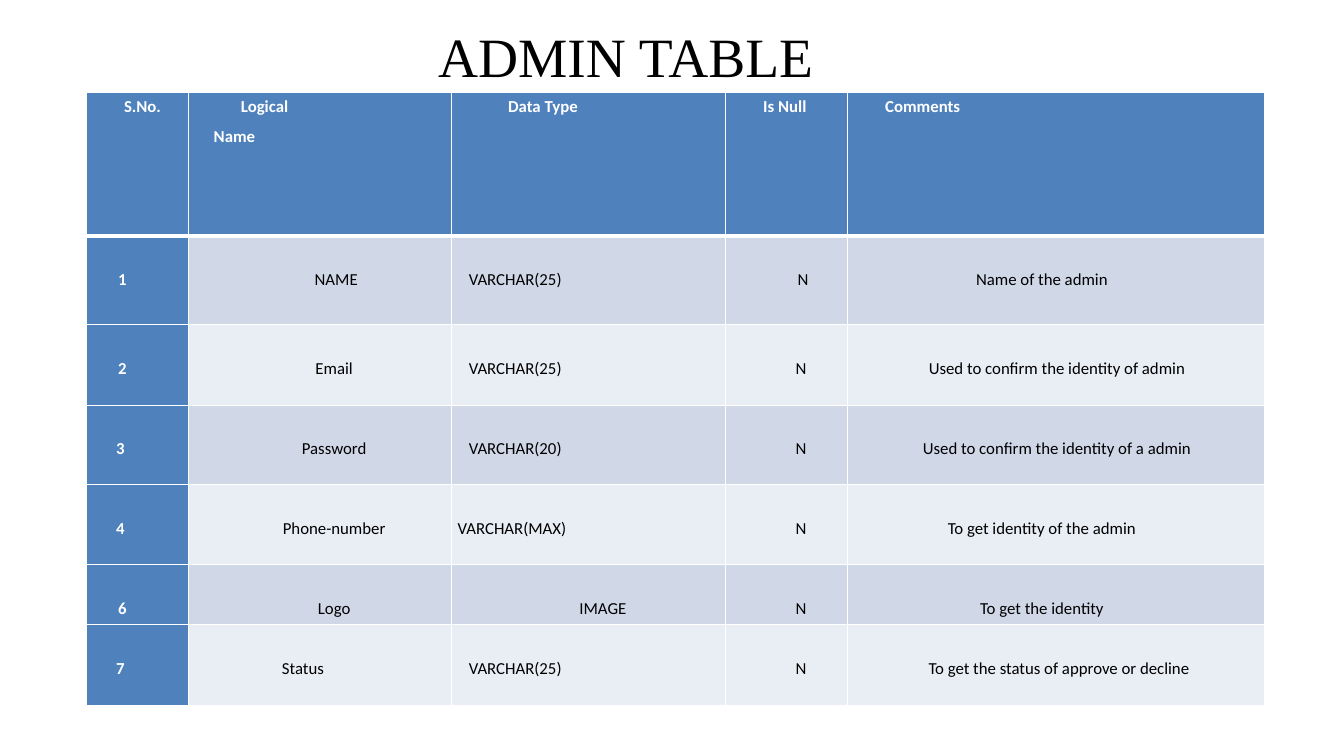
from dataclasses import dataclass

import pptx
import pptx.dml.color
import pptx.enum.text
import pptx.oxml
import pptx.oxml.ns
import pptx.table
import pptx.text.text
import pptx.util
from pptx.util import Inches

COLORS = {
    "header": "4F81BD",
    "odd_row": "D0D8E8",
    "even_row": "E9EDF4",
    "white": "FFFFFF",
    "black": "000000",
}
ALIGN = pptx.enum.text.PP_ALIGN
COLUMN_WIDTHS = [1.01, 2.61, 2.72, 1.21, 4.13]
ROW_HEIGHTS = [1.42, 0.88, 0.8, 0.79, 0.79, 0.6, 0.8]


@dataclass
class Entry:
    text: str
    indent: float = 0
    shift: float | None = None


def left(text: str, indent: float) -> list[Entry]:
    return [Entry(text, indent=indent)]


def centered(text: str, shift: float) -> list[Entry]:
    return [Entry(text, shift=shift)]


def record(number: str, name: list[Entry], kind: list[Entry],
           comment: list[Entry], number_shift: float = -0.15,
           null_shift: float = 0.14) -> list[list[Entry]]:
    return [centered(number, number_shift), name, kind,
            centered("N", null_shift), comment]


ROWS = [
    [left("S.No.", 0.37),
     left("Logical", 0.52) + left("Name", 0.25),
     left("Data Type", 0.56),
     left("Is Null", 0.37),
     left("Comments", 0.37)],
    record("1", centered("NAME", 0.16), left("VARCHAR(25)", 0.17),
           centered("Name of the admin", -0.14), null_shift=0.16),
    record("2", centered("Email", 0.14), left("VARCHAR(25)", 0.17),
           centered("Used to confirm the identity of admin", 0.01)),
    record("3", centered("Password", 0.14), left("VARCHAR(20)", 0.17),
           centered("Used to confirm the identity of a admin", 0.01), -0.17),
    record("4", centered("Phone-number", 0.14), left("VARCHAR(MAX)", 0.06),
           centered("To get identity of the admin", -0.14), -0.17),
    record("6", centered("Logo", 0.14), centered("IMAGE", 0.14),
           centered("To get the identity", -0.14)),
    record("7", centered("Status", -0.17), left("VARCHAR(25)", 0.17),
           centered("To get the status of approve or decline", 0.03), -0.17),
]


def style_text(para: pptx.text.text._Paragraph, size: float, face: str,
               color: str, bold: bool = False) -> None:
    for span in para.runs:
        span.font.size = pptx.util.Pt(size)
        span.font.name = face
        span.font.bold = bold
        span.font.color.rgb = pptx.dml.color.RGBColor.from_string(COLORS[color])


def place_entry(para: pptx.text.text._Paragraph, entry: Entry,
                color: str, bold: bool) -> None:
    para.text = entry.text
    para.line_spacing = 1.07
    para.space_after = pptx.util.Pt(5.8)
    shift = entry.shift
    para.alignment = ALIGN.LEFT if shift is None else ALIGN.CENTER
    properties = para._p.get_or_add_pPr()
    margin_left = entry.indent if shift is None else max(2 * shift, 0)
    margin_right = 0 if shift is None else max(-2 * shift, 0)
    properties.set("marL", str(Inches(margin_left)))
    properties.set("marR", str(Inches(margin_right)))
    properties.set("indent", "0")
    style_text(para, 12, "Calibri", color, bold)


def draw_borders(cell: pptx.table._Cell, top: float, bottom: float) -> None:
    widths = {"lnL": 1, "lnR": 1, "lnT": top, "lnB": bottom}
    for side, width in widths.items():
        cell._tc.get_or_add_tcPr().append(pptx.oxml.parse_xml(
            f'<a:{side} {pptx.oxml.ns.nsdecls("a")} w="{pptx.util.Pt(width)}">'
            f'<a:solidFill><a:srgbClr val="{COLORS["white"]}"/></a:solidFill>'
            f'</a:{side}>'))


def fill_cell(cell: pptx.table._Cell, entries: list[Entry],
              row: int, column: int) -> None:
    is_heading = row == 0 or column == 0
    band = "odd_row" if row % 2 else "even_row"
    draw_borders(cell, 3 if row == 1 else 1, 3 if row == 0 else 1)
    cell.fill.solid()
    cell.fill.fore_color.rgb = pptx.dml.color.RGBColor.from_string(
        COLORS["header" if is_heading else band])
    cell.margin_left = cell.margin_right = cell.margin_bottom = 0
    cell.margin_top = Inches(0.32 if row else 0.02)
    frame = cell.text_frame
    frame.text = "\n".join(entry.text for entry in entries)
    for para, entry in zip(frame.paragraphs, entries):
        place_entry(para, entry, "white" if is_heading else "black", is_heading)


deck = pptx.Presentation()
deck.slide_width = Inches(13.33)
deck.slide_height = Inches(7.5)
page = deck.slides.add_slide(deck.slide_layouts[6])

title = page.shapes.add_textbox(Inches(0.67), Inches(0.3), Inches(11.07), Inches(0.5))
title_frame = title.text_frame
title_frame.word_wrap = True
title_frame.vertical_anchor = pptx.enum.text.MSO_ANCHOR.MIDDLE
title_frame.margin_top = title_frame.margin_bottom = 0
title_frame.text = "ADMIN TABLE"
title_frame.paragraphs[0].alignment = ALIGN.CENTER
style_text(title_frame.paragraphs[0], 39.6, "Times New Roman", "black")

admin_table = page.shapes.add_table(
    len(ROWS), len(COLUMN_WIDTHS), Inches(0.86), Inches(0.92),
    Inches(sum(COLUMN_WIDTHS)), Inches(sum(ROW_HEIGHTS))).table
for table_column, width in zip(admin_table.columns, COLUMN_WIDTHS):
    table_column.width = Inches(width)
for table_row, height in zip(admin_table.rows, ROW_HEIGHTS):
    table_row.height = Inches(height)
for row, cells in enumerate(ROWS):
    for column, entries in enumerate(cells):
        fill_cell(admin_table.cell(row, column), entries, row, column)

deck.save("out.pptx")
